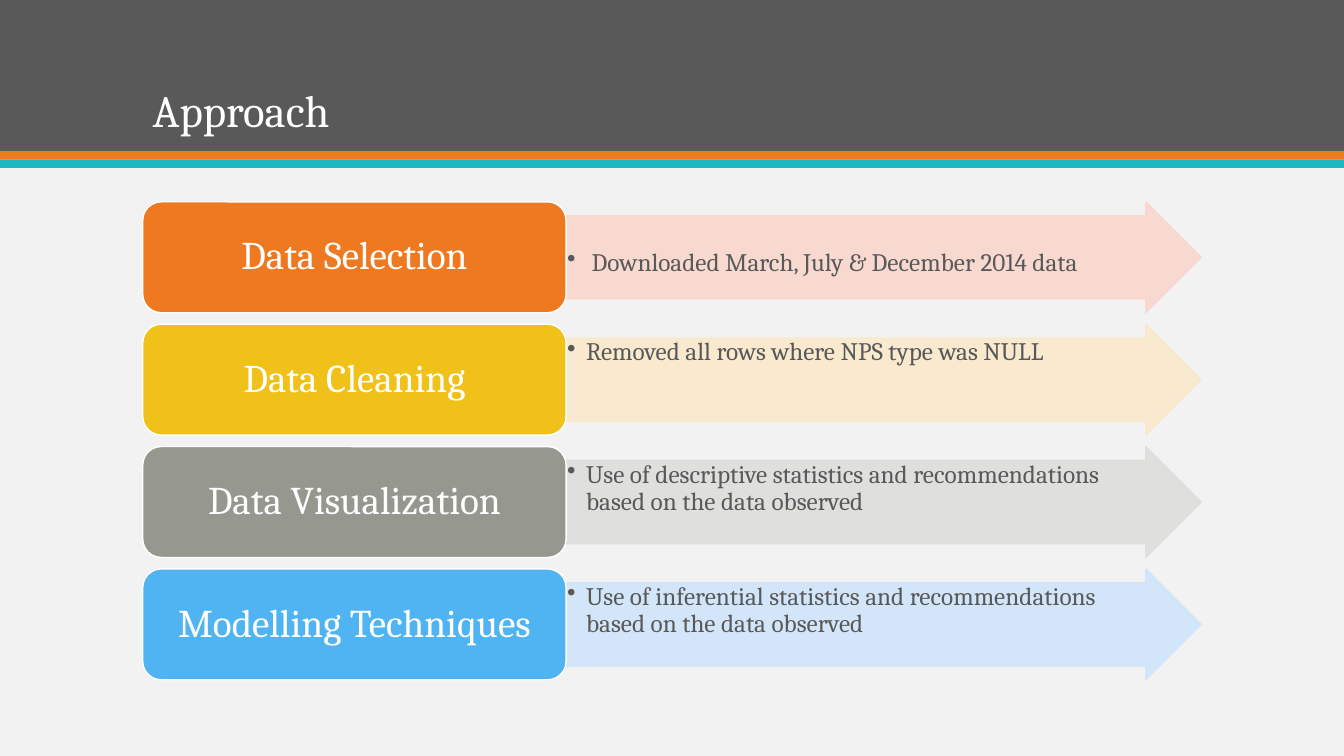
from dataclasses import dataclass

from lxml.etree import SubElement
from pptx import Presentation
from pptx.dml.color import RGBColor
from pptx.enum.shapes import MSO_SHAPE
from pptx.enum.text import MSO_ANCHOR, PP_ALIGN
from pptx.oxml.ns import qn
from pptx.util import Pt


@dataclass(frozen=True)
class Theme:
    font: str = "Cambria"
    title_size: int = 32
    step_size: int = 28
    detail_size: int = 18
    page: str = "F2F2F2"
    white: str = "FFFFFF"
    dark: str = "595959"
    orange: str = "EF7920"
    teal: str = "1EB8C1"


THEME = Theme()
SLIDE_W, SLIDE_H = 960, 540

# Step, its colour, detail, arrow tint, extra drop of the detail text
STEPS = [
    ("Data Selection", THEME.orange,
     " Downloaded March, July & December 2014 data", "F9D7CD", 23.6),
    ("Data Cleaning", "EFC119",
     "Removed all rows where NPS type was NULL", "F9E9CC", 0),
    ("Data Visualization", "969890",
     "Use of descriptive statistics and recommendations based on the data observed",
     "DDDDDB", 0),
    ("Modelling Techniques", "50B4F2",
     "Use of inferential statistics and recommendations based on the data observed",
     "D0E5FA", 0),
]


def add_block(s, kind, box, fill, line=None):
    sp = s.shapes.add_shape(kind, *(Pt(v) for v in box))
    sp.shadow.inherit = False
    sp.fill.solid()
    sp.fill.fore_color.rgb = RGBColor.from_string(fill)
    if line:
        sp.line.color.rgb = RGBColor.from_string(line)
        sp.line.width = Pt(1)
    else:
        sp.line.fill.background()
    return sp


def set_text(sp, text, size, color, align, anchor, insets):
    tf = sp.text_frame
    tf.word_wrap = True
    tf.vertical_anchor = anchor
    tf.margin_left, tf.margin_top, tf.margin_right, tf.margin_bottom = map(Pt, insets)
    p = tf.paragraphs[0]
    p.text = text
    p.alignment = align
    p.line_spacing = 0.9
    r = p.runs[0]
    r.font.name = THEME.font
    r.font.size = Pt(size)
    r.font.color.rgb = RGBColor.from_string(color)
    return p


def set_opacity(sp, percent):
    """Apply one opacity to both the fill and the outline."""
    for color in sp._element.spPr.iter(qn("a:srgbClr")):
        SubElement(color, qn("a:alpha")).set("val", str(percent * 1000))


def set_bullet(p, indent):
    pPr = p._p.get_or_add_pPr()
    pPr.set("marL", str(Pt(indent)))
    pPr.set("indent", str(-Pt(indent)))
    SubElement(pPr, qn("a:buChar")).set("char", "•")


def add_header(s, x, y, w, h):
    # Dark band with two stripes below
    stripe = 6
    add_block(s, MSO_SHAPE.RECTANGLE, (x, y, w, h), THEME.dark)
    for i, color in enumerate((THEME.orange, THEME.teal)):
        add_block(s, MSO_SHAPE.RECTANGLE, (x, y + h + i * stripe, w, stripe), color)
    # Title
    title = s.shapes.add_textbox(Pt(x + 102), Pt(y + 20), Pt(756), Pt(h - 26.6))
    set_text(title, "Approach", THEME.title_size, THEME.white,
             PP_ALIGN.LEFT, MSO_ANCHOR.BOTTOM, (7.2, 3.6, 7.2, 3.6))


def add_step(s, x, y, w, h, step):
    name, color, detail, tint, drop = step
    name_w = 0.4 * w
    # Arrow with the detail
    arrow = add_block(s, MSO_SHAPE.RIGHT_ARROW, (x + name_w, y, w - name_w, h), tint, tint)
    arrow.adjustments[0] = 0.75
    arrow.adjustments[1] = 0.5
    set_opacity(arrow, 90)
    p = set_text(arrow, detail, THEME.detail_size, THEME.dark,
                 PP_ALIGN.LEFT, MSO_ANCHOR.TOP, (0.8, 0.8 + drop, 20, 0.8))
    set_bullet(p, 13.5)
    # Rounded box with the step name
    box = add_block(s, MSO_SHAPE.ROUNDED_RECTANGLE, (x, y, name_w, h), color, THEME.white)
    set_text(box, name, THEME.step_size, THEME.white,
             PP_ALIGN.CENTER, MSO_ANCHOR.MIDDLE, (8.4, 4.2, 8.4, 4.2))


def add_steps(s, x, y, w, h):
    gap = 8.2
    row_h = (h - gap * (len(STEPS) - 1)) / len(STEPS)
    for i, step in enumerate(STEPS):
        add_step(s, x, y + i * (row_h + gap), w, row_h, step)


def main():
    prs = Presentation()
    prs.slide_width, prs.slide_height = Pt(SLIDE_W), Pt(SLIDE_H)
    s = prs.slides.add_slide(prs.slide_layouts[6])
    s.background.fill.solid()
    s.background.fill.fore_color.rgb = RGBColor.from_string(THEME.page)
    add_header(s, 0, 0, SLIDE_W, 108)
    add_steps(s, 102, 144.2, 756, 341.4)
    prs.save("out.pptx")


if __name__ == "__main__":
    main()
